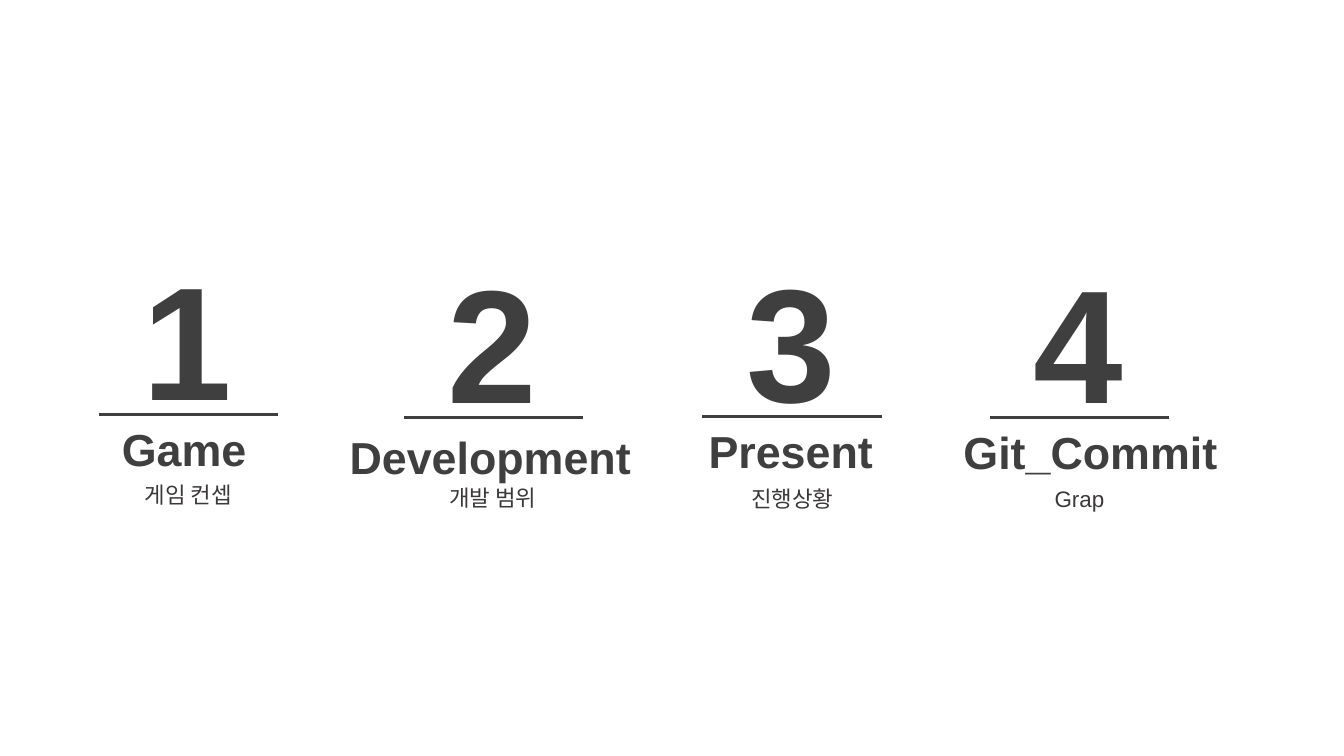
from dataclasses import dataclass

from lxml.etree import SubElement
from pptx import Presentation
from pptx.dml.color import RGBColor
from pptx.enum.shapes import MSO_CONNECTOR
from pptx.enum.text import MSO_AUTO_SIZE, PP_ALIGN
from pptx.oxml.ns import qn
from pptx.shapes.shapetree import GroupShapes
from pptx.slide import Slide
from pptx.util import Pt


@dataclass(frozen=True)
class Style:
    size: float
    color: RGBColor
    bold: bool
    align: PP_ALIGN


@dataclass(frozen=True)
class Theme:
    font: str = "Arial"
    rule_color: RGBColor = RGBColor(0x3F, 0x3F, 0x3F)
    rule_weight: float = 2.25
    number: Style = Style(115, RGBColor(0x3F, 0x3F, 0x3F), True, PP_ALIGN.LEFT)
    title: Style = Style(32, RGBColor(0x3F, 0x3F, 0x3F), True, PP_ALIGN.LEFT)
    caption: Style = Style(16, RGBColor(0x3B, 0x38, 0x38), False, PP_ALIGN.CENTER)


@dataclass(frozen=True)
class Box:
    left: float
    top: float
    width: float
    height: float


@dataclass(frozen=True)
class Label:
    text: str
    left: float
    top: float
    width: float


@dataclass(frozen=True)
class Section:
    rule_left: float
    rule_top: float
    title: Label
    caption: Label


THEME = Theme()
RULE_WIDTH = 128
NUMBER_DX, NUMBER_DY = 24.2, -128.2
NUMBER_WIDTH, NUMBER_HEIGHT = 79.2, 146.9
TITLE_HEIGHT, CAPTION_HEIGHT = 46, 26.6

SECTIONS = [
    Section(70.6, 295.9, Label("Game", 79.9, 297.4, 104.4),
            Label("게임 컨셉", 92.9, 339.8, 83.5)),
    Section(288.4, 298.1, Label("Development", 242.6, 303.1, 217.4),
            Label("개발 범위", 310.3, 342, 83.5)),
    Section(501.8, 297.4, Label("Present", 499, 298.8, 133.2),
            Label("진행상황", 526.3, 342.7, 79.2)),
    Section(707.2, 298.1, Label("Git_Commit", 681.1, 299.5, 197.3),
            Label("Grap", 745.9, 342.7, 50.4)),
]


def add_text(shapes: GroupShapes, text: str, box: Box, style: Style) -> None:
    sp = shapes.add_textbox(Pt(box.left), Pt(box.top), Pt(box.width), Pt(box.height))
    tf = sp.text_frame
    tf.word_wrap = False
    tf.auto_size = MSO_AUTO_SIZE.SHAPE_TO_FIT_TEXT
    p = tf.paragraphs[0]
    p.text = text
    p.alignment = style.align
    p.font.name = THEME.font
    p.font.size = Pt(style.size)
    p.font.bold = style.bold
    p.font.color.rgb = style.color


def add_rule(shapes: GroupShapes, left: float, top: float) -> None:
    line = shapes.add_connector(
        MSO_CONNECTOR.STRAIGHT, Pt(left), Pt(top), Pt(left + RULE_WIDTH), Pt(top))
    line.line.color.rgb = THEME.rule_color
    line.line.width = Pt(THEME.rule_weight)
    SubElement(line._element.spPr, qn("a:effectLst"))


def add_section(s: Slide, number: int, section: Section) -> None:
    shapes = s.shapes.add_group_shape().shapes
    left, top = section.rule_left, section.rule_top
    add_text(shapes, str(number),
             Box(left + NUMBER_DX, top + NUMBER_DY, NUMBER_WIDTH, NUMBER_HEIGHT),
             THEME.number)
    add_rule(shapes, left, top)
    for label, height, style in (
        (section.title, TITLE_HEIGHT, THEME.title),
        (section.caption, CAPTION_HEIGHT, THEME.caption),
    ):
        add_text(shapes, label.text, Box(label.left, label.top, label.width, height), style)


def main() -> None:
    prs = Presentation()
    prs.slide_width, prs.slide_height = Pt(960), Pt(540)
    s = prs.slides.add_slide(prs.slide_layouts[6])
    for number, section in enumerate(SECTIONS, start=1):
        add_section(s, number, section)
    prs.save("out.pptx")


if __name__ == "__main__":
    main()
